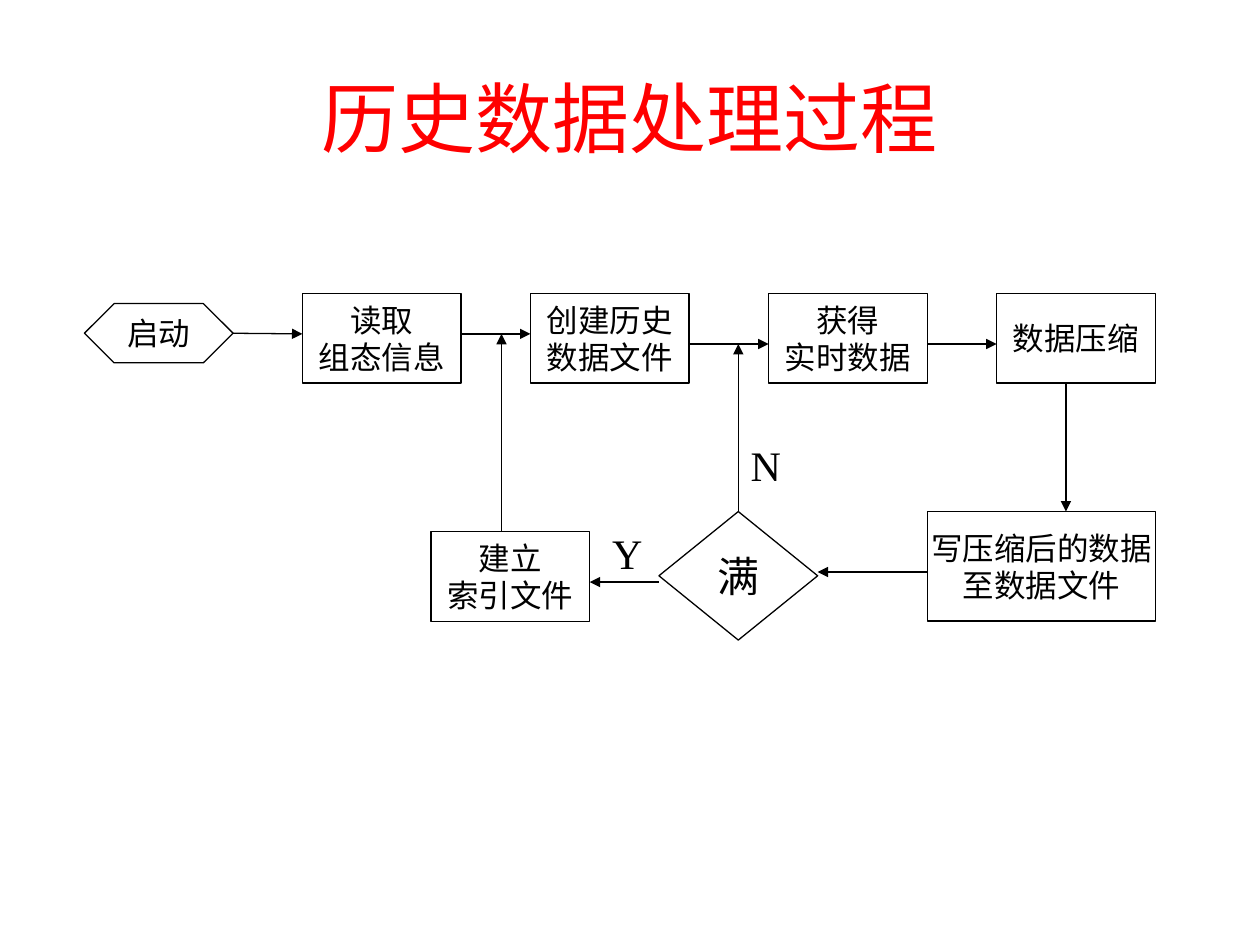
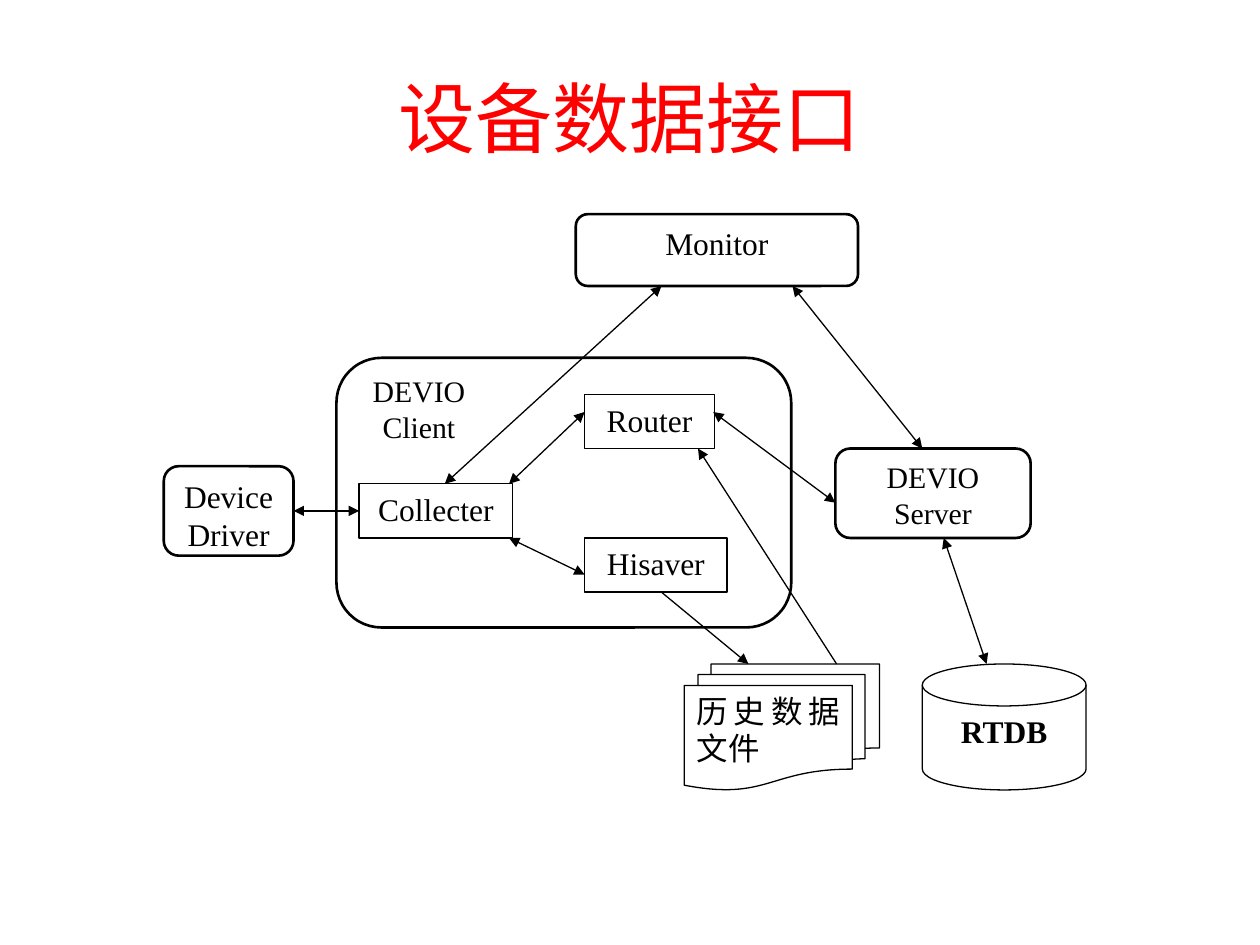
from dataclasses import dataclass
from pptx import Presentation
from pptx.dml.color import RGBColor
from pptx.enum.shapes import MSO_CONNECTOR as Wire, MSO_SHAPE as Kind
from pptx.enum.text import MSO_ANCHOR as Anchor, MSO_AUTO_SIZE as Fit, PP_ALIGN as Align
from pptx.oxml.ns import qn
from pptx.util import Inches, Pt
from lxml.etree import SubElement


@dataclass(frozen=True)
class Theme:
    ink: RGBColor = RGBColor(0, 0, 0)
    paper: RGBColor = RGBColor(255, 255, 255)
    red: RGBColor = RGBColor(255, 0, 0)
    face: str = "Times New Roman"
    sans: str = "Calibri"
    head: int = 44
    large: int = 24
    body: int = 18
    small: int = 17
    thin: float = 0.75
    thick: float = 1.5


theme = Theme()
STEP, TEST, PREP = Kind.FLOWCHART_PROCESS, Kind.FLOWCHART_DECISION, Kind.FLOWCHART_PREPARATION
RECT, ROUND = Kind.RECTANGLE, Kind.ROUNDED_RECTANGLE
DISK, DOCS = Kind.FLOWCHART_MAGNETIC_DISK, Kind.FLOWCHART_MULTIDOCUMENT
LARGE = {"size": theme.large}
SMALL = {"size": theme.small}
THICK = {"line": theme.thick}
PAGE = (10, 7.5)
TITLE = (0.5, 0.3, 9, 1.25)
BOX = (1.26, 0.71)
TOP, LOW = 2.33, 4.06
LANE, MID = 2.65, 2.73
COLS = (2.4, 4.21, 6.1, 7.91)
STEPS = ("读取\n组态信息", "创建历史\n数据文件", "获得\n实时数据", "数据压缩")

FLOW = {
    "title": "历史数据处理过程",
    "look": {"anchor": Anchor.MIDDLE, "wrap": False},
    "parts": [
        (PREP, "启动", (0.67, 2.41, 1.18, 0.47), {}),
        *[(STEP, text, (x, TOP, *BOX), {}) for text, x in zip(STEPS, COLS)],
        (STEP, "写压缩后的数据\n至数据文件", (7.36, LOW, 1.81, 0.87), {}),
        (TEST, "满", (5.23, LOW, 1.26, 1.02), LARGE),
        (STEP, "建立\n索引文件", (3.42, 4.22, *BOX), {}),
    ],
    "notes": [
        ("N", (5.86, 3.44, 0.39, 0.5), LARGE | {"align": Align.LEFT}),
        ("Y", (4.76, 4.14, 0.39, 0.5), LARGE | {"align": Align.LEFT}),
    ],
    "one_way": [
        (1.85, LANE, 2.4, LANE), (3.66, LANE, 4.21, LANE),
        (5.47, MID, 6.1, MID), (7.36, MID, 7.91, MID),
        (8.46, 3.04, 8.46, LOW), (7.36, 4.54, 6.49, 4.54),
        (5.23, 4.62, 4.68, 4.62), (3.98, 4.22, 3.98, LANE),
        (5.86, LOW, 5.86, MID),
    ],
    "two_way": [],
}

LINKS = {
    "title": "设备数据接口",
    "look": {"anchor": Anchor.TOP, "wrap": True},
    "parts": [
        (RECT, "Collecter", (2.85, 3.84, 1.22, 0.43), {}),
        (RECT, "Router", (4.64, 3.13, 1.03, 0.43), {}),
        (RECT, "Hisaver", (4.64, 4.27, 1.13, 0.43), {}),
        (DISK, "RTDB", (7.32, 5.27, 1.3, 1), {"bold": True}),
        (ROUND, "DEVIO\nServer", (6.63, 3.56, 1.55, 0.71), THICK | SMALL),
        (ROUND, "", (2.67, 2.84, 3.61, 2.14), THICK | {"clear": True}),
        (DOCS, "历史数据文件", (5.43, 5.27, 1.55, 1),
         {"align": Align.JUSTIFY, "name": theme.sans, "after": 6}),
        (ROUND, "Monitor", (4.57, 1.7, 2.24, 0.57), THICK),
        (ROUND, "Device Driver", (1.3, 3.7, 1.03, 0.71), THICK),
    ],
    "notes": [("DEVIO\nClient", (2.55, 2.91, 1.55, 0.71), SMALL)],
    "one_way": [(5.25, 4.7, 5.94, 5.27), (6.64, 5.27, 5.54, 3.56)],
    "two_way": [
        (2.33, 4.04, 2.85, 4.04), (4.04, 3.84, 4.64, 3.27),
        (5.66, 3.27, 6.63, 3.99), (7.49, 4.27, 7.83, 5.27),
        (4.04, 4.27, 4.64, 4.56), (5.25, 2.27, 3.53, 3.84),
        (6.29, 2.27, 7.32, 3.56),
    ],
}


def inch(vals):
    return [Inches(val) for val in vals]


def write(frame, text, look):
    frame.text = text
    frame.word_wrap = look.get("wrap", True)
    frame.vertical_anchor = look.get("anchor", Anchor.TOP)
    font = {"name": look.get("name", theme.face),
            "size": Pt(look.get("size", theme.body)),
            "bold": look.get("bold", False)}
    for para in frame.paragraphs:
        para.alignment = look.get("align", Align.CENTER)
        if "after" in look:
            para.space_after = Pt(look["after"])
        for run in para.runs:
            for key, val in font.items():
                setattr(run.font, key, val)
            run.font.color.rgb = look.get("color", theme.ink)


def add_part(slide, kind, text, spot, look):
    shape = slide.shapes.add_shape(kind, *inch(spot))
    shape.shadow.inherit = False
    if look.get("clear"):
        shape.fill.background()
    else:
        shape.fill.solid()
        shape.fill.fore_color.rgb = theme.paper
    shape.line.color.rgb = theme.ink
    shape.line.width = Pt(look.get("line", theme.thin))
    if text:
        write(shape.text_frame, text, look)
    return shape, spot


def find_side(parts, x, y):
    for shape, (left, top, wide, high) in parts:
        sides = ((left + wide / 2, top), (left, top + high / 2),
                 (left + wide / 2, top + high), (left + wide, top + high / 2))
        for site, (a, b) in enumerate(sides):
            if max(abs(a - x), abs(b - y)) < 0.02:
                return shape, site
    return None


def add_link(slide, parts, ends, tips):
    link = slide.shapes.add_connector(Wire.STRAIGHT, *inch(ends))
    for join, point in ((link.begin_connect, ends[:2]), (link.end_connect, ends[2:])):
        side = find_side(parts, *point)
        if side:
            join(*side)
    link.line.color.rgb = theme.ink
    link.line.width = Pt(theme.thin)
    stroke = link.line._get_or_add_ln()
    for tip in tips:
        SubElement(stroke, qn(tip), type="triangle")
    SubElement(link._element.spPr, qn("a:effectLst"))


def add_slide(deck, plan):
    slide = deck.slides.add_slide(deck.slide_layouts[5])
    title = slide.shapes.title
    for key, val in zip(("left", "top", "width", "height"), inch(TITLE)):
        setattr(title, key, val)
    write(title.text_frame, plan["title"],
          {"size": theme.head, "color": theme.red, "anchor": Anchor.MIDDLE})
    title.text_frame.auto_size = Fit.NONE
    parts = [add_part(slide, kind, text, spot, plan["look"] | look)
             for kind, text, spot, look in plan["parts"]]
    for way, tips in (("one_way", ["a:tailEnd"]), ("two_way", ["a:headEnd", "a:tailEnd"])):
        for ends in plan[way]:
            add_link(slide, parts, ends, tips)
    for text, spot, look in plan["notes"]:
        note = slide.shapes.add_textbox(*inch(spot))
        write(note.text_frame, text, look)


def main():
    deck = Presentation()
    deck.slide_width, deck.slide_height = inch(PAGE)
    for plan in (FLOW, LINKS):
        add_slide(deck, plan)
    deck.save("out.pptx")


if __name__ == "__main__":
    main()
